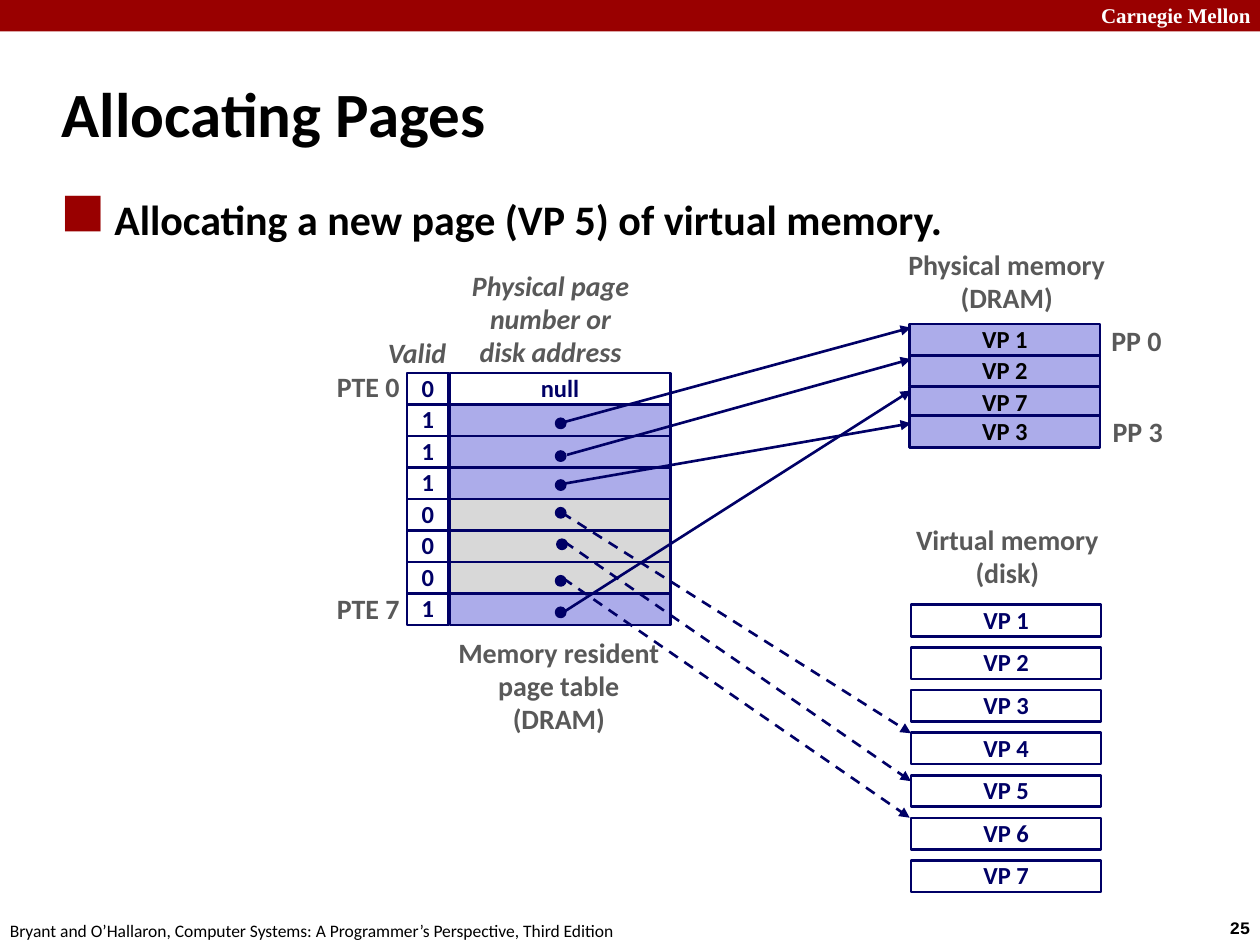
from dataclasses import dataclass
from typing import Optional

import pptx
import pptx.dml.color
import pptx.enum.dml
import pptx.enum.shapes
import pptx.enum.text
import pptx.oxml
import pptx.oxml.ns
import pptx.util

Inches = pptx.util.Inches
Align = pptx.enum.text.PP_ALIGN
Anchor = pptx.enum.text.MSO_ANCHOR
Shape = pptx.enum.shapes.MSO_SHAPE


@dataclass(frozen=True)
class Theme:
    red: str = "990000"
    navy: str = "000066"
    lilac: str = "ACACEA"
    silver: str = "D8D8D8"
    gray: str = "595959"
    black: str = "000000"
    white: str = "FFFFFF"
    font: str = "Calibri"
    symbols: str = "Wingdings 2"
    title: int = 36
    bullet: int = 24
    label: int = 16
    cell: int = 14
    banner: int = 12
    footer: int = 10
    line: float = 1.5
    spacing: float = 0.98


THEME = Theme()


@dataclass(frozen=True)
class Label:
    text: str
    at: tuple[float, float, float, float]
    align: Align = Align.CENTER
    anchor: Anchor = Anchor.TOP
    italic: bool = False


@dataclass(frozen=True)
class Pointer:
    dot: tuple[float, float]
    start: tuple[float, float]
    end: tuple[float, float]
    dashed: bool = False


@dataclass(frozen=True)
class Entry:
    """One page table entry; without a pointer it reads null."""
    valid: str
    fill: str
    pointer: Optional[Pointer] = None


ENTRIES = [
    Entry("0", THEME.white),
    Entry("1", THEME.lilac, Pointer((4.45, 3.36), (4.44, 3.36), (7.23, 2.6))),
    Entry("1", THEME.lilac, Pointer((4.45, 3.62), (4.5, 3.61), (7.23, 2.85))),
    Entry("1", THEME.lilac, Pointer((4.45, 3.85), (4.47, 3.84), (7.23, 3.36))),
    Entry("0", THEME.silver, Pointer((4.45, 4.07), (4.46, 4.07), (7.23, 5.82), True)),
    Entry("0", THEME.silver, Pointer((4.46, 4.32), (4.48, 4.3), (7.23, 6.2), True)),
    Entry("0", THEME.silver, Pointer((4.45, 4.61), (4.47, 4.59), (7.22, 6.49), True)),
    Entry("1", THEME.lilac, Pointer((4.45, 4.86), (4.47, 4.86), (7.23, 3.1))),
]
LABELS = [
    Label("Memory resident\npage table\n(DRAM)", (3.51, 5.01, 1.85, 0.89)),
    Label("Physical memory\n(DRAM)", (7.1, 1.93, 1.78, 0.63)),
    Label("Virtual memory\n(disk)", (7.15, 4.11, 1.69, 0.63)),
    Label("Valid", (2.98, 2.63, 0.75, 0.37), Align.LEFT, italic=True),
    Label("Physical page\nnumber or\ndisk address", (3.64, 2.09, 1.46, 0.89),
          anchor=Anchor.MIDDLE, italic=True),
    Label("PTE 0", (2.57, 2.89, 0.7, 0.37), Align.RIGHT, Anchor.MIDDLE),
    Label("PTE 7", (2.57, 4.65, 0.7, 0.37), Align.RIGHT, Anchor.MIDDLE),
    Label("PP 0", (8.72, 2.53, 0.6, 0.37), anchor=Anchor.MIDDLE),
    Label("PP 3", (8.73, 3.25, 0.6, 0.37), anchor=Anchor.MIDDLE),
]
ROW_HEIGHT = 0.25
TABLE_TOP = 2.96
FRAMES = {"VP 1": 2.57, "VP 2": 2.82, "VP 7": 3.07, "VP 3": 3.3}
DISK_TOP, DISK_LAST, DISK_PAGES = 4.8, 6.83, 7


def rgb(color: str):
    return pptx.dml.color.RGBColor.from_string(color)


def write(box, text: str, size: int, color: str, align=Align.LEFT, anchor=Anchor.TOP,
          spacing: Optional[float] = None, wrap: bool = False, **font) -> None:
    """Fill a box with one paragraph per line of text."""
    frame = box.text_frame
    frame.word_wrap = wrap
    frame.auto_size = pptx.enum.text.MSO_AUTO_SIZE.NONE
    frame.vertical_anchor = anchor
    formats = {"name": THEME.font, "size": pptx.util.Pt(size), "bold": True,
               "italic": False} | font
    for index, line in enumerate(text.split("\n")):
        para = frame.add_paragraph() if index else frame.paragraphs[0]
        para.alignment = align
        if spacing:
            para.line_spacing = spacing
        span = para.add_run()
        span.text = line
        for name, value in formats.items():
            setattr(span.font, name, value)
        span.font.color.rgb = rgb(color)


def add_text(page, at, text: str, size: int, color: str, **options):
    box = page.shapes.add_textbox(*map(Inches, at))
    write(box, text, size, color, **options)
    return box


def add_block(page, at, fill: str, line: Optional[float] = THEME.line, kind=Shape.RECTANGLE):
    block = page.shapes.add_shape(kind, *map(Inches, at))
    block.shadow.inherit = False
    block.fill.solid()
    block.fill.fore_color.rgb = rgb(fill)
    if line is None:
        block.line.fill.background()
    else:
        block.line.color.rgb = rgb(THEME.navy)
        block.line.width = pptx.util.Pt(line)
    return block


def add_cell(page, at, fill: str, text: str = "", color: str = THEME.navy) -> None:
    cell = add_block(page, at, fill)
    if text:
        write(cell, text, THEME.cell, color, align=Align.CENTER, anchor=Anchor.MIDDLE,
              spacing=THEME.spacing)


def add_pointer(page, pointer: Pointer) -> None:
    arrow = page.shapes.add_connector(pptx.enum.shapes.MSO_CONNECTOR.STRAIGHT,
                                      *map(Inches, pointer.start + pointer.end))
    arrow.line.color.rgb = rgb(THEME.navy)
    arrow.line.width = pptx.util.Pt(THEME.line)
    if pointer.dashed:
        arrow.line.dash_style = pptx.enum.dml.MSO_LINE.DASH
    head = pptx.oxml.parse_xml(f'<a:tailEnd {pptx.oxml.ns.nsdecls("a")} type="triangle"/>')
    arrow.line._get_or_add_ln().append(head)
    arrow._element.spPr.append(
        pptx.oxml.parse_xml(f'<a:effectLst {pptx.oxml.ns.nsdecls("a")}/>'))
    x, y = pointer.dot
    add_block(page, (x - 0.04, y - 0.04, 0.08, 0.08), THEME.navy, 1, Shape.OVAL)


def hang(para, indent: float, bullet: str = "") -> None:
    """Give a paragraph a hanging indent and, if asked, a red symbol-font bullet."""
    properties = para._p.get_or_add_pPr()
    properties.set("marL", str(Inches(indent)))
    properties.set("indent", str(Inches(-indent)))
    if bullet:
        space = pptx.oxml.ns.nsdecls("a")
        for xml in (f'<a:buClr {space}><a:srgbClr val="{THEME.red}"/></a:buClr>',
                    f'<a:buFont {space} typeface="{THEME.symbols}" pitchFamily="18" charset="2"/>',
                    f'<a:buChar {space} char="{bullet}"/>'):
            properties.append(pptx.oxml.parse_xml(xml))


def add_frame(page) -> None:
    """Draw the banner, footer, title and bullet line."""
    add_block(page, (0, 0, 10, 0.25), THEME.red, None)
    add_text(page, (8.64, -0.03, 1.43, 0.3), "Carnegie Mellon", THEME.banner, THEME.white,
             name="Times New Roman")
    add_text(page, (9.66, 7.23, 0.45, 0.27), "25", THEME.footer, THEME.black,
             name="Courier New")
    add_text(page, (-0.02, 7.25, 5.08, 0.27),
             "Bryant and O’Hallaron, Computer Systems: A Programmer’s Perspective, Third Edition",
             THEME.footer, THEME.black, bold=False)
    title = page.shapes.title
    title.left, title.top, title.width, title.height = map(Inches, (0.39, 0.48, 8.3, 0.83))
    write(title, "Allocating Pages", THEME.title, THEME.black, anchor=Anchor.MIDDLE, wrap=True)
    hang(title.text_frame.paragraphs[0], 0.13)
    body = add_text(page, (0.43, 1.49, 8.64, 5.44),
                    "Allocating a new page (VP 5) of virtual memory.",
                    THEME.bullet, THEME.black, wrap=True)
    # In the symbol font this character is a large filled square.
    hang(body.text_frame.paragraphs[0], 0.38, "¢")


def main() -> None:
    deck = pptx.Presentation()
    deck.slide_width, deck.slide_height = Inches(10), Inches(7.5)
    page = deck.slides.add_slide(deck.slide_layouts.get_by_name("Title Only"))
    add_frame(page)
    for row, entry in enumerate(ENTRIES):
        top = TABLE_TOP + row * ROW_HEIGHT
        add_cell(page, (3.57, top, 1.75, ROW_HEIGHT), entry.fill, "" if entry.pointer else "null")
        add_cell(page, (3.23, top, 0.33, ROW_HEIGHT), THEME.white, entry.valid)
    for name, top in FRAMES.items():
        add_cell(page, (7.22, top, 1.51, ROW_HEIGHT), THEME.lilac, name, THEME.black)
    pitch = (DISK_LAST - DISK_TOP) / (DISK_PAGES - 1)
    for index in range(DISK_PAGES):
        add_cell(page, (7.23, DISK_TOP + index * pitch, 1.51, ROW_HEIGHT), THEME.white,
                 f"VP {index + 1}")
    for label in LABELS:
        add_text(page, label.at, label.text, THEME.label, THEME.gray, align=label.align,
                 anchor=label.anchor, spacing=THEME.spacing, italic=label.italic)
    for entry in ENTRIES:
        if entry.pointer:
            add_pointer(page, entry.pointer)
    deck.save("out.pptx")


if __name__ == "__main__":
    main()
